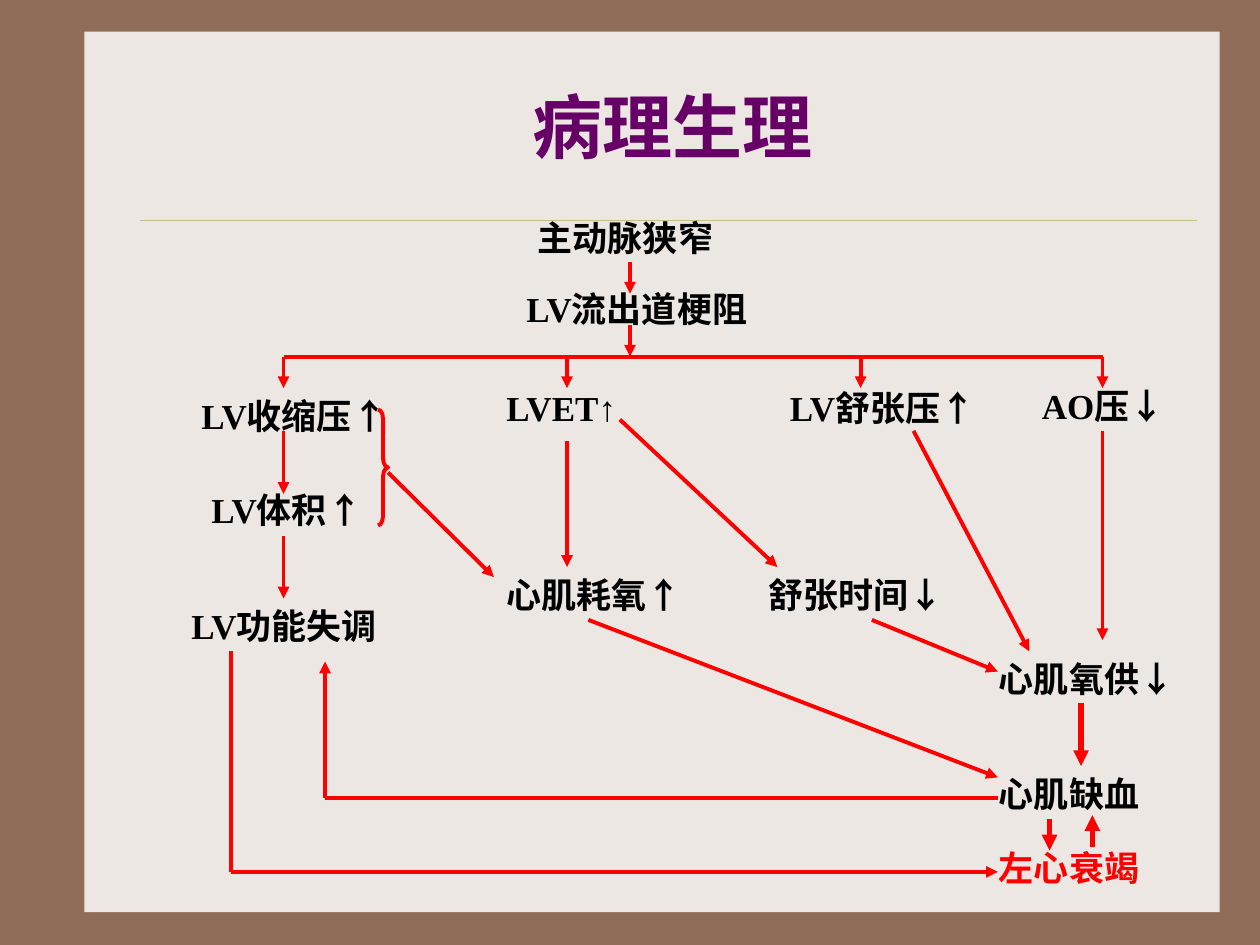
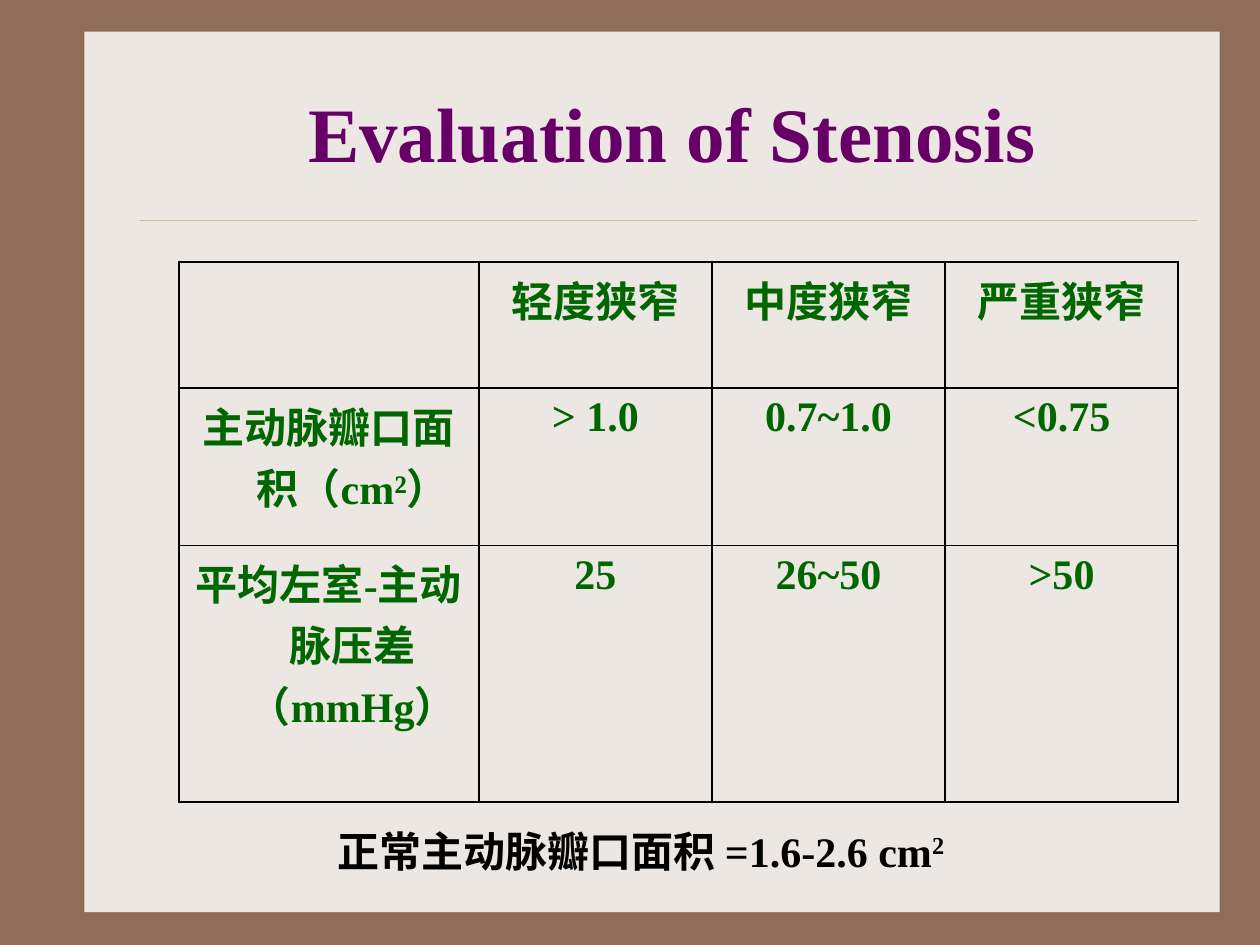
"""Build two slides on aortic stenosis: a pathophysiology flow and a grading table."""
from dataclasses import dataclass

from lxml import etree
from pptx import Presentation
from pptx.dml.color import RGBColor
from pptx.enum.shapes import MSO_CONNECTOR, MSO_SHAPE
from pptx.enum.text import MSO_ANCHOR, PP_ALIGN
from pptx.oxml import parse_xml
from pptx.oxml.ns import nsdecls, qn
from pptx.util import Inches, Pt

BRACE, RECT = MSO_SHAPE.RIGHT_BRACE, MSO_SHAPE.RECTANGLE
STRAIGHT = MSO_CONNECTOR.STRAIGHT
CENTER, MIDDLE = PP_ALIGN.CENTER, MSO_ANCHOR.MIDDLE


@dataclass(frozen=True)
class Theme:
    font: str = "Times New Roman"
    frame: RGBColor = RGBColor(0x90, 0x6D, 0x58)
    panel: RGBColor = RGBColor(0xED, 0xE7, 0xE3)
    rule: RGBColor = RGBColor(0xCB, 0xBD, 0x83)
    title: RGBColor = RGBColor(0x66, 0x00, 0x66)
    red: RGBColor = RGBColor(0xFF, 0x00, 0x00)
    green: RGBColor = RGBColor(0x00, 0x66, 0x00)
    black: RGBColor = RGBColor(0x00, 0x00, 0x00)
    node: int = 20
    large: int = 24
    thin: float = 2.25
    thick: float = 3


theme = Theme()


def style(para, size, color):
    for run in para.runs:
        font = run.font
        font.name, font.size, font.bold = theme.font, Pt(size), True
        font.color.rgb = color


def draw(slide, ends, color, width, arrow=False):
    line = slide.shapes.add_connector(STRAIGHT, *[Inches(v) for v in ends])
    line.line.color.rgb = color
    line.line.width = Pt(width)
    props = line.element.spPr
    if arrow:
        tail = etree.SubElement(props.find(qn("a:ln")), qn("a:tailEnd"))
        tail.set("type", "triangle")
    etree.SubElement(props, qn("a:effectLst"))
    return line


prs = Presentation()
prs.slide_width, prs.slide_height = Inches(10), Inches(7.5)
layout = prs.slide_layouts.get_by_name("Title Only")
heads = [("病理生理", 40, 0.58, 0.83), ("Evaluation of Stenosis", 44, 0.42, 1.25)]
for text, size, top, height in heads:
    title = prs.slides.add_slide(layout).shapes.title
    title.left, title.top = Inches(1.17), Inches(top)
    title.width, title.height = Inches(8.33), Inches(height)
    title.text_frame.text = text
    title.text_frame.vertical_anchor = MIDDLE
    para = title.text_frame.paragraphs[0]
    para.alignment = CENTER
    style(para, size, theme.title)
flow, grade = prs.slides

master = prs.slide_master
master.background.fill.solid()
master.background.fill.fore_color.rgb = theme.frame
panel = flow.shapes.add_shape(RECT, Inches(0.67), Inches(0.25), Inches(9.01), Inches(6.99))
panel.shadow.inherit = False
panel.fill.solid()
panel.fill.fore_color.rgb = theme.panel
panel.line.fill.background()
rule = draw(flow, (1.11, 1.75, 9.5, 1.75), theme.rule, 0.25)
for spot, part in enumerate((panel, rule), 2):
    master.shapes.element.insert(spot, part.element)

nodes = [
    ("主动脉狭窄", 4.17, 1.67, 1.75),
    ("LV流出道梗阻", 4.08, 2.23, 2.33),
    ("LV收缩压↑", 1.5, 3.08, 1.75),
    ("LVET↑", 3.92, 3.02, 1.25),
    ("LV舒张压↑", 6.17, 3.02, 1.75),
    ("AO压↓", 8.17, 3, 1.25),
    ("LV体积↑", 1.58, 3.83, 1.58),
    ("心肌耗氧↑", 3.92, 4.5, 1.75),
    ("LV功能失调", 1.42, 4.75, 1.75),
    ("舒张时间↓", 6, 4.5, 1.75),
    ("心肌氧供↓", 7.83, 5.17, 1.75),
    ("心肌缺血", 7.83, 6.08, 1.5),
    ("左心衰竭", 7.83, 6.67, 1.67),
]
for text, left, top, width in nodes:
    box = flow.shapes.add_textbox(Inches(left), Inches(top), Inches(width), Inches(0.43))
    box.text_frame.word_wrap = True
    box.text_frame.text = text
    color = theme.red if text == "左心衰竭" else theme.black
    style(box.text_frame.paragraphs[0], theme.node, color)

bars = [
    (2.25, 2.83, 8.75, 2.83),
    (7.92, 6.33, 2.58, 6.33),
    (1.83, 5.17, 1.83, 6.92),
]
drops = [(x, 2.83, x, 3.08) for x in (2.25, 4.5, 6.83, 8.75)]
arrows = drops + [
    (5, 2.08, 5, 2.33),
    (5, 2.58, 5, 2.83),
    (2.25, 3.42, 2.25, 3.92),
    (2.25, 4.25, 2.25, 4.75),
    (3.08, 3.75, 3.92, 4.58),
    (4.5, 3.5, 4.5, 4.5),
    (4.92, 3.33, 6.17, 4.5),
    (7.25, 3.42, 8.17, 5.17),
    (8.75, 3.42, 8.75, 5.08),
    (6.92, 4.92, 7.92, 5.33),
    (4.67, 4.92, 7.92, 6.17),
    (2.58, 6.33, 2.58, 5.25),
    (1.83, 6.92, 7.92, 6.92),
]
bold = [
    (8.58, 5.58, 8.58, 6.08),
    (8.33, 6.5, 8.33, 6.75),
    (8.67, 6.72, 8.67, 6.47),
]
for group, width, arrow in (
    (bars, theme.thin, False),
    (arrows, theme.thin, True),
    (bold, theme.thick, True),
):
    for ends in group:
        draw(flow, ends, theme.red, width, arrow)

brace = flow.shapes.add_shape(BRACE, Inches(3), Inches(3.25), Inches(0.08), Inches(0.92))
brace.shadow.inherit = False
brace.adjustments[0], brace.adjustments[1] = 0.92, 0.5
brace.fill.background()
brace.line.color.rgb = theme.red
brace.line.width = Pt(theme.thin)

rows = [
    ("", "轻度狭窄", "中度狭窄", "严重狭窄"),
    ("主动脉瓣口面积（cm²）", "> 1.0", "0.7~1.0", "<0.75"),
    ("平均左室-主动脉压差（mmHg）", "25", "26~50", ">50"),
]
table = grade.shapes.add_table(
    3, 4, Inches(1.42), Inches(2.08), Inches(7.92), Inches(3.69)
).table
table.first_row = table.horz_banding = False
for col, width in zip(table.columns, (2.38, 1.85, 1.85, 1.85)):
    col.width = Inches(width)
for row, height, texts in zip(table.rows, (1, 1.25, 1.44), rows):
    row.height = Inches(height)
    for cell, text in zip(row.cells, texts):
        cell.text_frame.text = text
        para = cell.text_frame.paragraphs[0]
        para.alignment = CENTER
        props = para._p.get_or_add_pPr()
        props.set("marL", str(Inches(0.38)))
        props.set("indent", str(Inches(-0.38)))
        style(para, theme.large, theme.green)
        for side in "LRTB":
            cell._tc.get_or_add_tcPr().append(parse_xml(
                f'<a:ln{side} {nsdecls("a")} w="{Pt(1)}"><a:solidFill>'
                f'<a:srgbClr val="{theme.black}"/></a:solidFill></a:ln{side}>'
            ))
        cell.fill.background()

note = grade.shapes.add_textbox(Inches(2.58), Inches(6.5), Inches(5.42), Inches(0.5))
note.text_frame.word_wrap = True
note.text_frame.text = "正常主动脉瓣口面积 =1.6-2.6 cm"
para = note.text_frame.paragraphs[0]
power = para.add_run()
power.text = "2"
style(para, theme.large, theme.black)
power.font._element.set("baseline", "30000")

prs.save("out.pptx")
